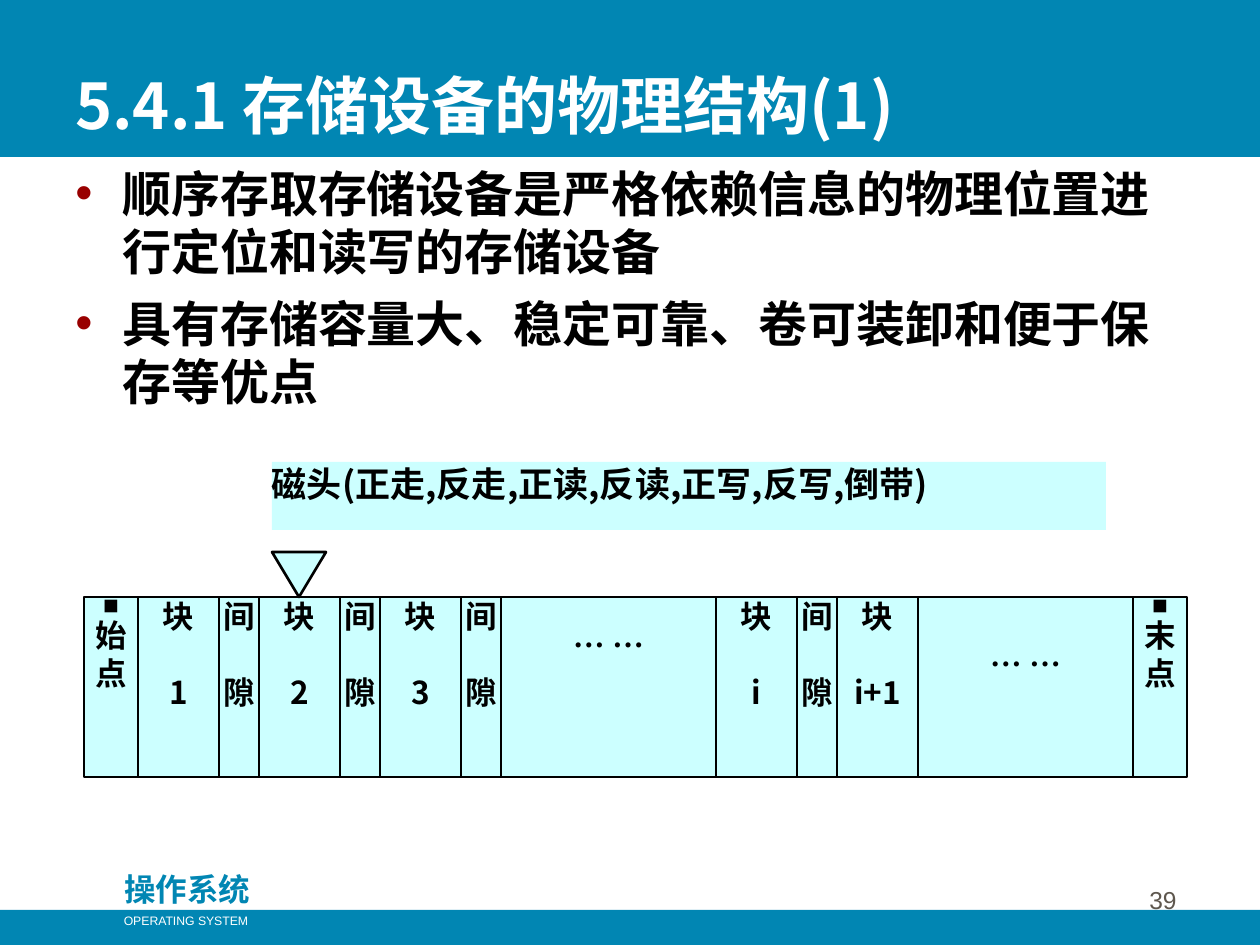
import itertools

import pptx
import pptx.dml.color
import pptx.enum.shapes
import pptx.enum.text
import pptx.oxml
import pptx.oxml.ns
import pptx.util

RGBColor = pptx.dml.color.RGBColor
SHAPE = pptx.enum.shapes.MSO_SHAPE
ALIGN = pptx.enum.text.PP_ALIGN
ANCHOR = pptx.enum.text.MSO_ANCHOR
Pt = pptx.util.Pt

BLUE = RGBColor(0x01, 0x86, 0xB3)
CYAN = RGBColor(0xCC, 0xFF, 0xFF)
WHITE = RGBColor(0xFF, 0xFF, 0xFF)
BLACK = RGBColor(0x00, 0x00, 0x00)
RED = RGBColor(0x99, 0x00, 0x00)
GREY = RGBColor(0x5E, 0x57, 0x4E)

HEAVY = "Noto Sans CJK SC"
SANS = "Arial"
SERIF = "Times New Roman"
LINE_HEIGHT = 1.2
PX_PER_INCH = 126
SMALL_SIZE, CELL_SIZE = 9, 18
BLOCK, GAP, END, DOTS = 6, 3, 4, 16


def px(count):
    return pptx.util.Emu(round(count * 914400 / PX_PER_INCH))


def format_para(para, size, color=BLACK, font=HEAVY, bold=True, align=ALIGN.LEFT):
    para.alignment = align
    for span in para.runs:
        span.font.size = Pt(size)
        span.font.name = font
        span.font.bold = bold
        span.font.color.rgb = color
        east_asian = pptx.oxml.parse_xml(
            f'<a:ea {pptx.oxml.ns.nsdecls("a")} typeface="{font}"/>')
        span.font._element.find(pptx.oxml.ns.qn("a:latin")).addnext(east_asian)


def add_bullet(para):
    properties = para._p.get_or_add_pPr()
    properties.set("marL", str(px(47)))
    properties.set("indent", str(px(-47)))
    names = pptx.oxml.ns.nsdecls("a")
    for xml in (f'<a:buClr {names}><a:srgbClr val="{RED}"/></a:buClr>',
                f'<a:buFont {names} typeface="{SANS}"/>',
                f'<a:buChar {names} char="•"/>'):
        properties.append(pptx.oxml.parse_xml(xml))


def add_text(page, box, text, anchor=ANCHOR.TOP, wrap=True):
    frame = page.shapes.add_textbox(*map(px, box)).text_frame
    frame.word_wrap = wrap
    frame.vertical_anchor = anchor
    frame.text = text
    return frame


def add_panel(page, box, fill, kind=SHAPE.RECTANGLE, outlined=False):
    panel = page.shapes.add_shape(kind, *map(px, box))
    panel.shadow.inherit = False
    panel.fill.solid()
    panel.fill.fore_color.rgb = fill
    if outlined:
        panel.line.color.rgb = BLACK
        panel.line.width = Pt(1.5)
    else:
        panel.line.fill.background()
    frame = panel.text_frame
    frame.word_wrap = True
    frame.vertical_anchor = ANCHOR.TOP
    frame.margin_left = frame.margin_right = frame.margin_top = frame.margin_bottom = 0
    return panel


def build_header(page, box):
    left, top, width, height = box
    add_panel(page, box, BLUE)
    frame = add_text(page, (left + 63, top + 32, 1071, 116),
                     "5.4.1 存储设备的物理结构(1)", ANCHOR.BOTTOM)
    format_para(frame.paragraphs[0], 36, WHITE)


def build_points(page, box, points):
    frame = add_text(page, box, "\n".join(points))
    for para in frame.paragraphs:
        format_para(para, 28)
        para.space_before = Pt(7)
        add_bullet(para)


def build_head(page, box, tip):
    left, top, width, height = box
    label = add_panel(page, (left, top, width, 68), CYAN)
    label.text_frame.text = "磁头(正走,反走,正读,反读,正写,反写,倒带)"
    format_para(label.text_frame.paragraphs[0], 20, align=ALIGN.JUSTIFY)
    add_panel(page, (tip - 27, top + height - 45, 54, 45), CYAN,
              SHAPE.FLOWCHART_MERGE, True)


def build_tape(page, box, cells):
    left, top, width, height = box
    edges = [0, *itertools.accumulate(units for units, _ in cells)]
    columns = [left + round(width * edge / edges[-1]) for edge in edges]
    dots_offset = itertools.cycle((SMALL_SIZE, CELL_SIZE))
    for (units, text), start, end in zip(cells, columns, columns[1:]):
        cell = add_panel(page, (start, top, end - start, height), CYAN, outlined=True)
        frame = cell.text_frame
        frame.text = text
        for para in frame.paragraphs:
            size = SMALL_SIZE if para.text == "■" else CELL_SIZE
            font = SERIF if units == DOTS else HEAVY
            format_para(para, size, font=font, align=ALIGN.CENTER)
        if units == DOTS:
            frame.margin_top = Pt(next(dots_offset) * LINE_HEIGHT)
        elif units != END:
            frame.paragraphs[1].space_before = Pt(CELL_SIZE * LINE_HEIGHT)


def build_footer(page, box):
    left, top, width, height = box
    add_panel(page, (left, top + 46, width, height - 46), BLUE)
    course = add_text(page, (left + 105, top, 165, 50), "操作系统")
    format_para(course.paragraphs[0], 18, BLUE, align=ALIGN.CENTER)
    english = add_text(page, (left + 111, top + 43, 150, 28),
                       "OPERATING SYSTEM", wrap=False)
    format_para(english.paragraphs[0], 7, WHITE, SANS, False, ALIGN.CENTER)
    number = add_text(page, (left + 927, top - 6, 262, 63), "39", ANCHOR.BOTTOM)
    format_para(number.paragraphs[0], 14, GREY, SANS, False, ALIGN.RIGHT)


def main():
    deck = pptx.Presentation()
    deck.slide_width, deck.slide_height = px(1260), px(945)
    page = deck.slides.add_slide(deck.slide_layouts[6])
    gap = (GAP, "间\n隙")
    cells = [(END, "■\n始点")]
    for name in "123":
        cells += [(BLOCK, f"块\n{name}"), gap]
    cells += [(DOTS, "… …"), (BLOCK, "块\ni"), gap, (BLOCK, "块\ni+1"),
              (DOTS, "… …"), (END, "■\n末点")]
    build_header(page, (0, 0, 1260, 157))
    build_footer(page, (0, 864, 1260, 81))
    build_points(page, (63, 157, 1124, 305), [
        "顺序存取存储设备是严格依赖信息的物理位置进行定位和读写的存储设备",
        "具有存储容量大、稳定可靠、卷可装卸和便于保存等优点",
    ])
    build_tape(page, (84, 597, 1103, 180), cells)
    build_head(page, (272, 462, 834, 135), 299)
    deck.save("out.pptx")


if __name__ == "__main__":
    main()
